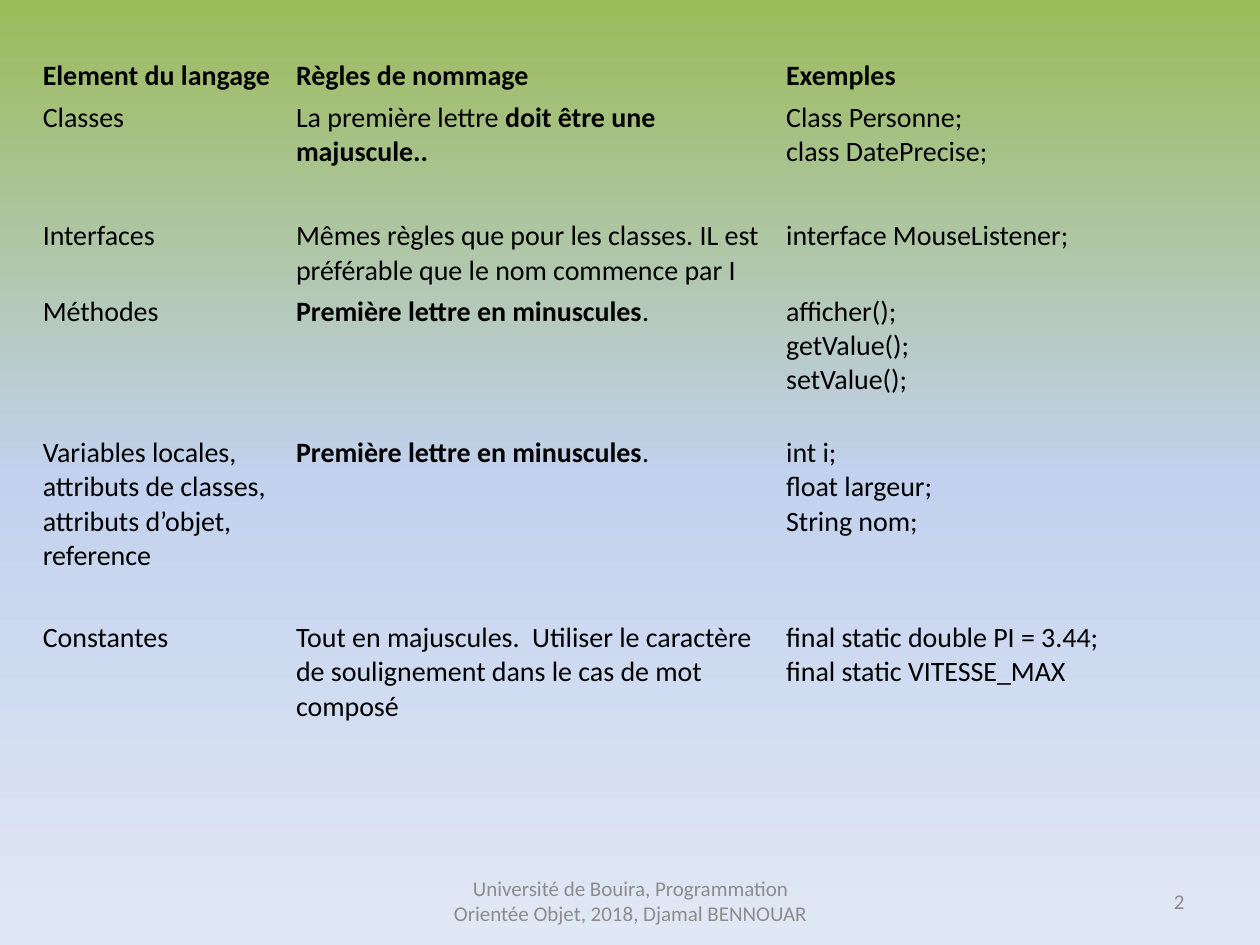
from copy import deepcopy

from pptx import Presentation
from pptx.dml.color import RGBColor
from pptx.enum.text import MSO_ANCHOR, PP_ALIGN
from pptx.util import Inches, Pt

COLORS = {"top": "9BBB59", "middle": "C2D1ED", "bottom": "E1E8F5",
          "text": "000000", "footer": "8C8C8C"}
FONT = "Calibri"
NO_GRID_STYLE = "{2D5ABB26-0587-4C30-8999-92F81FD0307C}"
COLUMN_WIDTHS = [2.01, 3.89, 3.54]
ROW_HEIGHTS = [0.33, 0.94, 0.6, 1.12, 1.47, 0.89]

# Text between double asterisks is bold; \v breaks a line, \n a paragraph.
LOWERCASE_RULE = "**Première lettre en minuscules**."
RULES = [
    ("**Element du langage**", "**Règles de nommage**", "**Exemples**"),
    ("Classes", "La première lettre **doit être une majuscule..**",
     "Class Personne;\vclass DatePrecise;"),
    ("Interfaces",
     "Mêmes règles que pour les classes. IL est préférable que le nom commence par I",
     "interface MouseListener;"),
    ("Méthodes", LOWERCASE_RULE, "afficher();\vgetValue();\vsetValue();"),
    ("Variables locales, attributs de classes, attributs d’objet, reference",
     LOWERCASE_RULE, "int i;\vfloat largeur;\vString nom;"),
    ("Constantes",
     "Tout en majuscules.  Utiliser le caractère de soulignement dans le cas de mot composé",
     "final static double PI = 3.44;\nfinal static VITESSE_MAX"),
]


def style_font(font, size, color):
    """Set the typeface, size and colour of a font."""
    font.name = FONT
    font.size = Pt(size)
    font.color.rgb = RGBColor.from_string(COLORS[color])


def paint_background(page):
    """Fill the page with a vertical gradient of three colours."""
    fill = page.background.fill
    fill.gradient()
    fill.gradient_angle = 270
    stop_list = page.element.xpath(".//p:bg//a:gsLst")[0]
    stop_list.append(deepcopy(stop_list[-1]))
    for stop, position, name in zip(fill.gradient_stops, (0, 0.5, 1),
                                    ("top", "middle", "bottom")):
        stop.position = position
        stop.color.rgb = RGBColor.from_string(COLORS[name])


def write_marked(paragraph, text):
    """Write text whose bold spans are enclosed in double asterisks."""
    for index, part in enumerate(text.split("**")):
        for line_index, line in enumerate(part.split("\v")):
            if line_index:
                paragraph.add_line_break()
            if line:
                span = paragraph.add_run()
                span.text = line
                span.font.bold = index % 2 == 1
    style_font(paragraph.font, 16, "text")


def fill_cell(cell, text):
    """Write one transparent table cell."""
    cell.fill.background()
    cell.margin_left = cell.margin_right = Inches(0.06)
    cell.margin_top = cell.margin_bottom = Inches(0.03)
    frame = cell.text_frame
    for index, line in enumerate(text.split("\n")):
        paragraph = frame.add_paragraph() if index else frame.paragraphs[0]
        write_marked(paragraph, line)


def add_rules_table(page, left, top):
    """Add the table of naming rules at the given corner."""
    frame = page.shapes.add_table(
        len(ROW_HEIGHTS), len(COLUMN_WIDTHS), Inches(left), Inches(top),
        Inches(sum(COLUMN_WIDTHS)), Inches(sum(ROW_HEIGHTS)))
    table = frame.table
    table.first_row = table.horz_banding = False
    frame.element.xpath(".//a:tableStyleId")[0].text = NO_GRID_STYLE
    for column, width in zip(table.columns, COLUMN_WIDTHS):
        column.width = Inches(width)
    for row, height, texts in zip(table.rows, ROW_HEIGHTS, RULES):
        row.height = Inches(height)
        for cell, text in zip(row.cells, texts):
            fill_cell(cell, text)


def add_footer_text(page, left, width, text, alignment):
    """Add one grey text on the footer line."""
    box = page.shapes.add_textbox(Inches(left), Inches(6.95), Inches(width), Inches(0.4))
    frame = box.text_frame
    frame.word_wrap = True
    frame.vertical_anchor = MSO_ANCHOR.MIDDLE
    paragraph = frame.paragraphs[0]
    paragraph.text = text
    paragraph.alignment = alignment
    style_font(paragraph.font, 12, "footer")


def main():
    """Build and save the deck."""
    deck = Presentation()
    deck.slide_width, deck.slide_height = Inches(10), Inches(7.5)
    page = deck.slides.add_slide(deck.slide_layouts.get_by_name("Blank"))
    paint_background(page)
    add_footer_text(page, 3.42, 3.17,
                    "Université de Bouira, Programmation Orientée Objet, 2018, Djamal BENNOUAR",
                    PP_ALIGN.CENTER)
    add_footer_text(page, 7.17, 2.33, "2", PP_ALIGN.RIGHT)
    add_rules_table(page, 0.28, 0.44)
    deck.save("out.pptx")


main()
